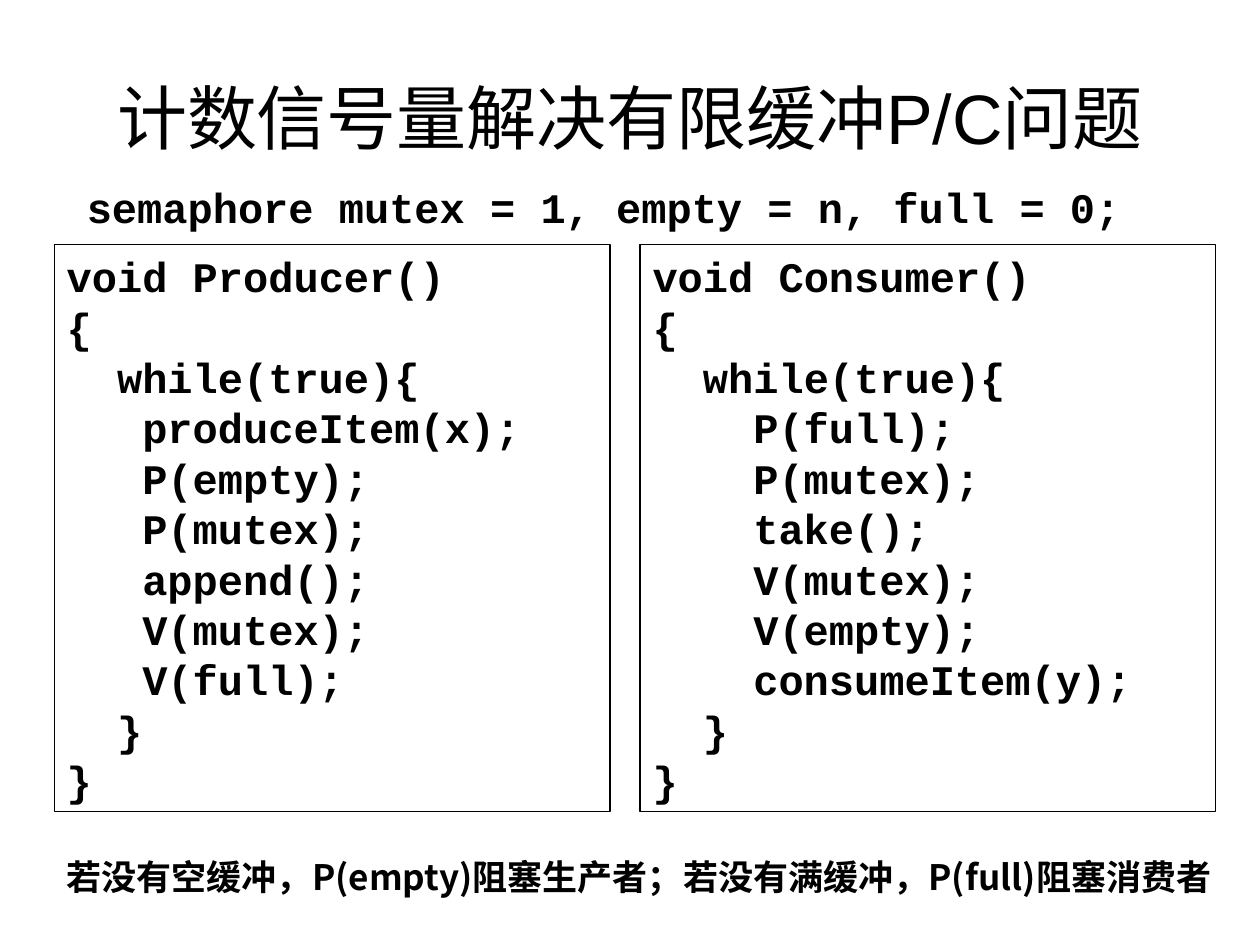
from dataclasses import dataclass

from lxml.etree import SubElement
from pptx import Presentation
from pptx.dml.color import RGBColor
from pptx.enum.shapes import MSO_SHAPE
from pptx.enum.text import MSO_ANCHOR, PP_ALIGN
from pptx.oxml.ns import qn
from pptx.util import Pt


@dataclass(frozen=True)
class Theme:
    ink: RGBColor = RGBColor(0, 0, 0)
    title_font: str = "Arial"
    code_font: str = "Courier New"
    note_font: str = "Noto Sans CJK SC"
    title_size: float = 40
    code_size: float = 24
    note_size: float = 20
    border: float = 0.75


THEME = Theme()
CODE_CHAR_WIDTH = 0.6 * THEME.code_size

PRODUCER = """void Producer()
{
  while(true){
   produceItem(x);
   P(empty);
   P(mutex);
   append();
   V(mutex);
   V(full);
  }
}"""

CONSUMER = """void Consumer()
{
  while(true){
    P(full);
    P(mutex);
    take();
    V(mutex);
    V(empty);
    consumeItem(y);
  }
}"""


def style(paragraph, font_name, size, bold=False):
    font = paragraph.font
    font.name, font.size, font.bold = font_name, Pt(size), bold
    font.color.rgb = THEME.ink


def add_text(slide, text, left, top, width, height):
    """Add a wrapping text box and return its frame and paragraph."""
    frame = slide.shapes.add_textbox(Pt(left), Pt(top), Pt(width), Pt(height)).text_frame
    frame.word_wrap = True
    frame.text = text
    return frame, frame.paragraphs[0]


def add_title(slide, text):
    frame, heading = add_text(slide, text, 36, 21.6, 648, 90)
    frame.vertical_anchor = MSO_ANCHOR.MIDDLE
    heading.alignment = PP_ALIGN.CENTER
    style(heading, THEME.title_font, THEME.title_size)


def add_declaration(slide, text):
    declaration = add_text(slide, text, 42.5, 100, 641, 36)[1]
    style(declaration, THEME.code_font, THEME.code_size, bold=True)


def add_code_panel(slide, code, left, width):
    """Add a bordered listing whose leading spaces become paragraph margins."""
    panel = slide.shapes.add_shape(
        MSO_SHAPE.RECTANGLE, Pt(left), Pt(139.7), Pt(width), Pt(324))
    panel.shadow.inherit = False
    panel.fill.background()
    panel.line.color.rgb = THEME.ink
    panel.line.width = Pt(THEME.border)
    frame = panel.text_frame
    frame.word_wrap = True
    frame.vertical_anchor = MSO_ANCHOR.TOP
    lines = code.splitlines()
    frame.text = "\n".join(line.lstrip() for line in lines)
    for paragraph, line in zip(frame.paragraphs, lines):
        paragraph.alignment = PP_ALIGN.LEFT
        style(paragraph, THEME.code_font, THEME.code_size, bold=True)
        indent = len(line) - len(line.lstrip())
        properties = paragraph._p.get_or_add_pPr()
        properties.set("marL", str(Pt(indent * CODE_CHAR_WIDTH)))
        properties.set("indent", "0")


def add_note(slide, text):
    note = add_text(slide, text, 31, 485.3, 674.6, 55.4)[1]
    note.space_before = Pt(12.5)
    style(note, THEME.note_font, THEME.note_size, bold=True)
    east_asian = SubElement(note.font._element, qn("a:ea"))
    east_asian.set("typeface", THEME.note_font)


def main():
    presentation = Presentation()
    presentation.slide_width, presentation.slide_height = Pt(720), Pt(540)
    slide = presentation.slides.add_slide(presentation.slide_layouts[6])
    add_title(slide, "计数信号量解决有限缓冲P/C问题")
    add_code_panel(slide, PRODUCER, left=31, width=317.5)
    add_code_panel(slide, CONSUMER, left=365.8, width=329)
    add_declaration(slide, "semaphore mutex = 1, empty = n, full = 0;")
    add_note(slide, "若没有空缓冲，P(empty)阻塞生产者；若没有满缓冲，P(full)阻塞消费者")
    presentation.save("out.pptx")


if __name__ == "__main__":
    main()
